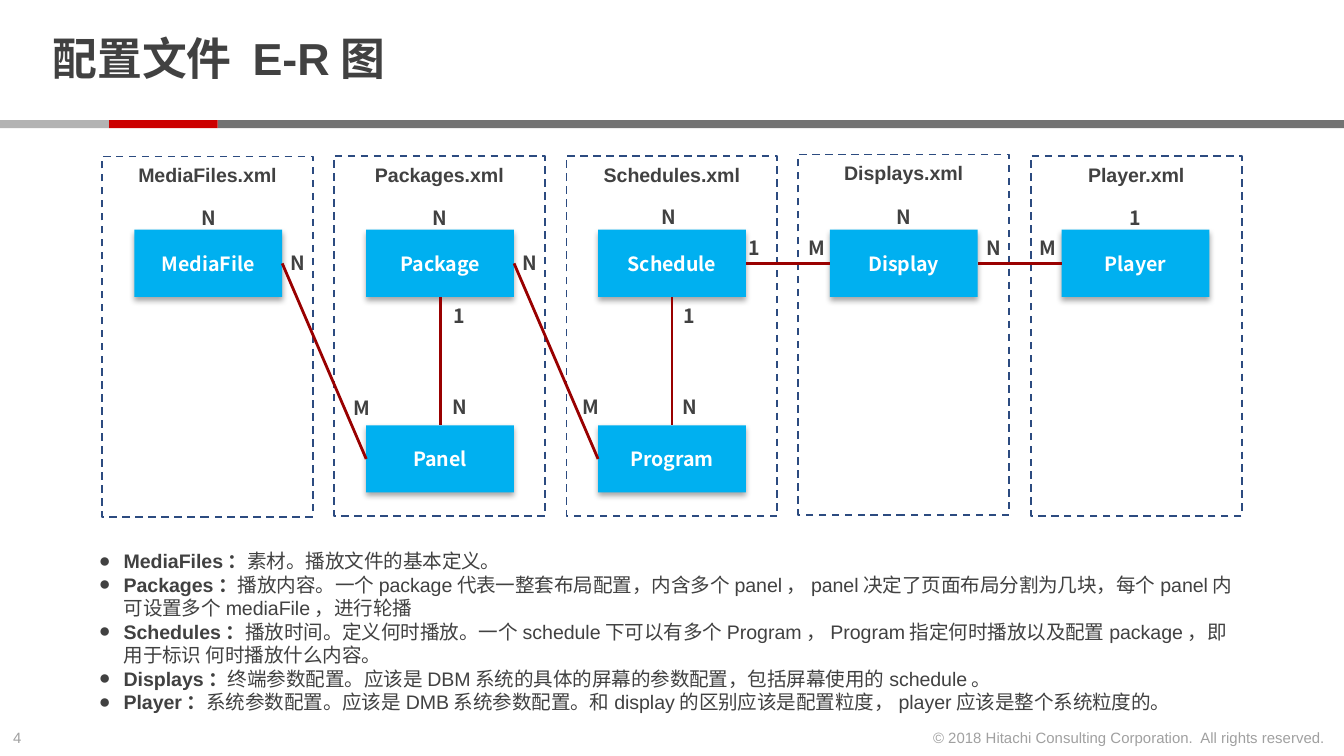
from dataclasses import dataclass
from lxml.etree import SubElement
from pptx import Presentation
from pptx.dml.color import RGBColor
from pptx.enum.dml import MSO_LINE
from pptx.enum.shapes import MSO_CONNECTOR, MSO_SHAPE
from pptx.enum.text import MSO_ANCHOR, MSO_AUTO_SIZE, PP_ALIGN
from pptx.oxml.ns import qn
from pptx.util import Pt


@dataclass(frozen=True)
class Theme:
    ink: str = "414141"
    pale: str = "A0A0A0"
    white: str = "FFFFFF"
    blue: str = "00B0F0"
    navy: str = "2C4B80"
    wine: str = "990000"
    gray: str = "737373"
    red: str = "CC0000"
    silver: str = "B3B3B3"
    sans: str = "Arial"
    han: str = "Noto Sans CJK SC"
    head: float = 24
    text: float = 10.5
    foot: float = 8


theme = Theme()
PX = 4572


def place(*rect):
    return [n * PX for n in rect]


def style(run, size, color, bold=False, face=theme.sans):
    run.font.size = Pt(size)
    run.font.bold = bold
    run.font.color.rgb = RGBColor.from_string(color)
    run.font.name = face
    SubElement(run._r.get_or_add_rPr(), qn("a:ea"), typeface=theme.han)


deck = Presentation()
deck.slide_width, deck.slide_height = place(2000, 1125)
slide = deck.slides.add_slide(deck.slide_layouts[1])
shapes = slide.shapes

title = shapes.title
title.left, title.top, title.width, title.height = place(58, 12, 1542, 160)
frame = title.text_frame
frame.text = "配置文件 E-R图"
frame.auto_size = MSO_AUTO_SIZE.NONE
frame.vertical_anchor = MSO_ANCHOR.MIDDLE
frame.margin_left = frame.margin_right = 20 * PX
frame.margin_top = frame.margin_bottom = 0
para = frame.paragraphs[0]
para.alignment = PP_ALIGN.LEFT
para.line_spacing = 0.85
style(para.runs[0], theme.head, theme.ink, True)

for left, width, color in [(324, 1676, theme.gray), (162, 162, theme.red), (0, 162, theme.silver)]:
    band = shapes.add_shape(MSO_SHAPE.RECTANGLE, *place(left, 179, width, 12))
    band.shadow.inherit = False
    band.fill.solid()
    band.fill.fore_color.rgb = RGBColor.from_string(color)
    band.line.fill.background()

files = [
    ("MediaFiles.xml", 233, ["MediaFile"]),
    ("Packages.xml", 232, ["Package", "Panel"]),
    ("Schedules.xml", 232, ["Schedule", "Program"]),
    ("Displays.xml", 230, ["Display"]),
    ("Player.xml", 232, ["Player"]),
]
boxes = {}
for col, (name, top, items) in enumerate(files):
    panel = shapes.add_shape(MSO_SHAPE.RECTANGLE, *place(152 + 691 * col // 2, top, 314, 536))
    panel.shadow.inherit = False
    panel.fill.background()
    panel.line.color.rgb = RGBColor.from_string(theme.navy)
    panel.line.width = Pt(1)
    panel.line.dash_style = MSO_LINE.DASH
    panel.text_frame.text = name
    panel.text_frame.vertical_anchor = MSO_ANCHOR.TOP
    para = panel.text_frame.paragraphs[0]
    para.alignment = PP_ALIGN.CENTER
    style(para.runs[0], theme.text, theme.ink, True)

    for row, item in enumerate(items):
        box = shapes.add_shape(MSO_SHAPE.RECTANGLE, *place(200 + 345 * col, 342 + 291 * row, 220, 100))
        box.fill.solid()
        box.fill.fore_color.rgb = RGBColor.from_string(theme.blue)
        box.line.fill.background()
        box.shadow.inherit = False
        glow = SubElement(
            box._element.spPr.find(qn("a:effectLst")), qn("a:outerShdw"),
            blurRad="40000", dist="23000", dir="5400000", rotWithShape="0",
        )
        shade = SubElement(glow, qn("a:srgbClr"), val="000000")
        SubElement(shade, qn("a:alpha"), val="35000")
        box.text_frame.text = item
        box.text_frame.vertical_anchor = MSO_ANCHOR.MIDDLE
        para = box.text_frame.paragraphs[0]
        para.alignment = PP_ALIGN.CENTER
        style(para.runs[0], theme.text, theme.white, True, theme.han)
        boxes[item] = box

TOP, LEFT, BASE, RIGHT = range(4)
links = [
    ("MediaFile", RIGHT, "Panel", LEFT),
    ("Package", BASE, "Panel", TOP),
    ("Package", RIGHT, "Program", LEFT),
    ("Schedule", BASE, "Program", TOP),
    ("Display", LEFT, "Schedule", RIGHT),
    ("Player", LEFT, "Display", RIGHT),
]
for start, out, end, into in links:
    line = shapes.add_connector(MSO_CONNECTOR.STRAIGHT, 0, 0, 0, 0)
    line.begin_connect(boxes[start], out)
    line.end_connect(boxes[end], into)
    line.line.color.rgb = RGBColor.from_string(theme.wine)
    line.line.width = Pt(1.5)
    SubElement(line._element.spPr, qn("a:effectLst"))

marks = [
    ("N", 281, 296), ("N", 624, 296), ("N", 965, 295), ("N", 1315, 295), ("1", 1660, 296),
    ("N", 413, 364), ("M", 509, 580), ("N", 758, 363), ("M", 850, 578),
    ("1", 654, 442), ("N", 654, 578), ("1", 996, 442), ("N", 996, 578),
    ("1", 1092, 342), ("M", 1186, 342), ("N", 1449, 342), ("M", 1529, 342),
]
for mark, left, top in marks:
    label = shapes.add_textbox(*place(left, top, 60, 56))
    frame = label.text_frame
    frame.word_wrap = True
    frame.margin_left = frame.margin_right = 0
    frame.text = mark
    para = frame.paragraphs[0]
    para.alignment = PP_ALIGN.CENTER
    style(para.runs[0], theme.text, theme.ink, True, theme.han)

notes = [
    ("MediaFiles：", "素材。播放文件的基本定义。"),
    ("Packages：", "播放内容。一个package代表一整套布局配置，内含多个panel，panel决定了页面布局分割为几块，每个panel内可设置多个mediaFile，进行轮播"),
    ("Schedules：", "播放时间。定义何时播放。一个schedule下可以有多个Program，Program指定何时播放以及配置package，即用于标识 何时播放什么内容。"),
    ("Displays：", "终端参数配置。应该是DBM系统的具体的屏幕的参数配置，包括屏幕使用的schedule。"),
    ("Player：", "系统参数配置。应该是DMB系统参数配置。和display的区别应该是配置粒度，player应该是整个系统粒度的。"),
]
body = slide.placeholders[1]
body.left, body.top, body.width, body.height = place(127, 807, 1736, 268)
frame = body.text_frame
frame.auto_size = MSO_AUTO_SIZE.NONE
for row, (term, gloss) in enumerate(notes):
    para = frame.add_paragraph() if row else frame.paragraphs[0]
    props = para._p.get_or_add_pPr()
    props.set("marL", str(37 * PX))
    props.set("indent", str(-37 * PX))
    SubElement(props, qn("a:buFont"), typeface=theme.sans)
    SubElement(props, qn("a:buChar"), char="●")
    para.space_before = Pt(0)
    for words, bold in [(term, True), (gloss, False)]:
        run = para.add_run()
        run.text = words
        style(run, theme.text, theme.ink, bold)

feet = [
    ("4", PP_ALIGN.LEFT, 0, 68),
    ("© 2018 Hitachi Consulting Corporation.  All rights reserved.", PP_ALIGN.RIGHT, 1360, 632),
]
for words, side, left, width in feet:
    foot = shapes.add_textbox(*place(left, 1075, width, 48))
    foot.text_frame.word_wrap = True
    foot.text_frame.text = words
    para = foot.text_frame.paragraphs[0]
    para.alignment = side
    style(para.runs[0], theme.foot, theme.pale)

deck.save("out.pptx")
